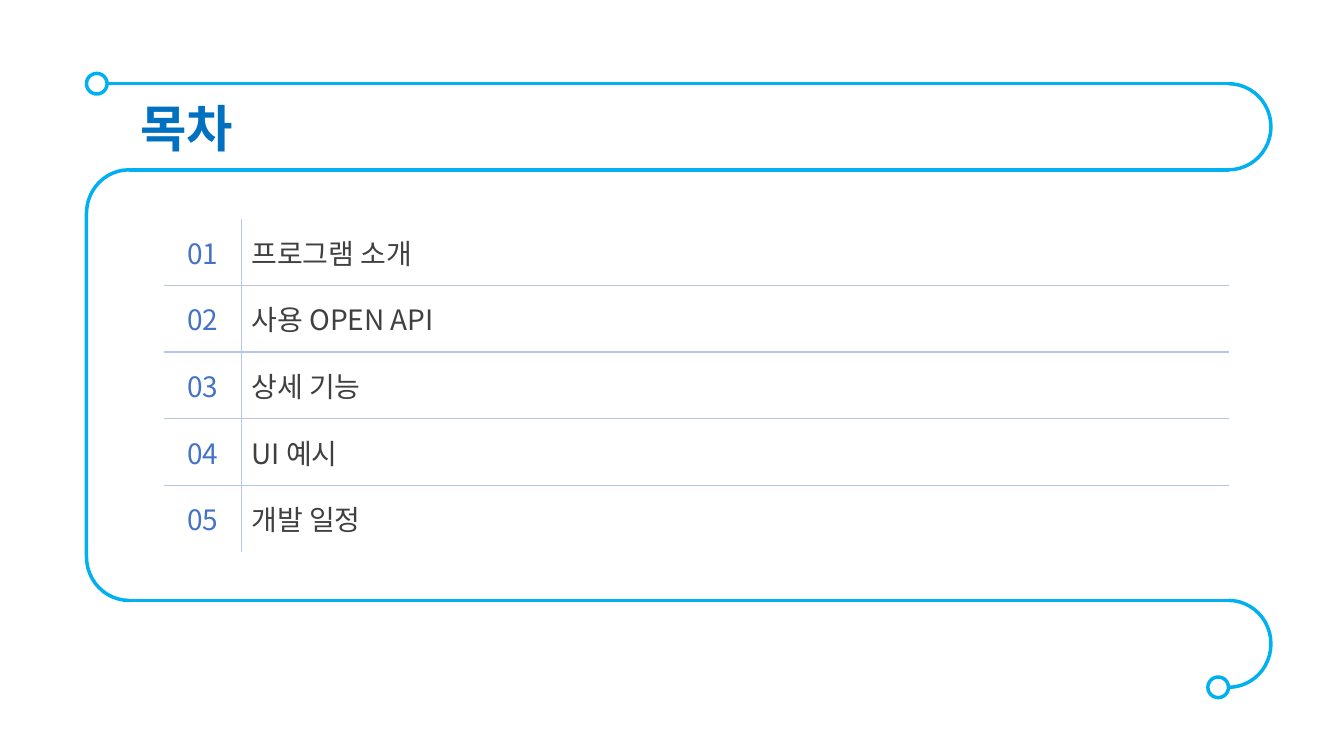
from dataclasses import dataclass

import lxml.etree
import pptx
import pptx.dml.color
import pptx.enum.shapes
import pptx.enum.text
import pptx.oxml.ns
import pptx.util

Cm = pptx.util.Cm
Pt = pptx.util.Pt
qn = pptx.oxml.ns.qn
Preset = pptx.enum.shapes.MSO_SHAPE
Align = pptx.enum.text.PP_ALIGN
Anchor = pptx.enum.text.MSO_ANCHOR

FONT = "Noto Sans CJK KR"
COLORS = {
    "title": "0070C0",
    "number": "4472C4",
    "topic": "404040",
    "grid": "B4C7E7",
    "ribbon": "00B0F0",
    "knob": "FFFFFF",
}
TITLE = "목차"
TOPICS = ["프로그램 소개", "사용 OPEN API", "상세 기능", "UI 예시", "개발 일정"]
COLUMN_WIDTHS = [1.94, 13.96, 10.93]
ROW_HEIGHT = 1.68

# The ribbon runs along three levels and turns in brackets (lengths in cm).
LEFT, STRAIGHT_LEFT, STRAIGHT_RIGHT = 2.18, 3.25, 30.96
TURN_WIDTH = STRAIGHT_LEFT - LEFT
TOP, MIDDLE, BOTTOM, END = 2.11, 4.28, 15.13, 17.32
KNOB_SIZE = 0.52
RIBBON_WIDTH = Pt(2.5)


@dataclass(frozen=True)
class Turn:
    preset: Preset
    left: float
    top: float
    bottom: float


@dataclass(frozen=True)
class Straight:
    left: float
    level: float


@dataclass(frozen=True)
class Knob:
    left: float
    level: float


TURNS = [
    Turn(Preset.RIGHT_BRACKET, STRAIGHT_RIGHT, TOP, MIDDLE),
    Turn(Preset.LEFT_BRACKET, LEFT, MIDDLE, BOTTOM),
    Turn(Preset.RIGHT_BRACKET, STRAIGHT_RIGHT, BOTTOM, END),
]
STRAIGHTS = [
    Straight(LEFT + KNOB_SIZE, TOP),
    Straight(STRAIGHT_LEFT, MIDDLE),
    Straight(STRAIGHT_LEFT, BOTTOM),
]
KNOBS = [Knob(LEFT, TOP), Knob(STRAIGHT_RIGHT - KNOB_SIZE, END)]


def color(name: str) -> pptx.dml.color.RGBColor:
    return pptx.dml.color.RGBColor.from_string(COLORS[name])


def write_text(frame, text: str, size: float, color_name: str, align: Align,
               bold: bool = False) -> None:
    """Fill the frame with one paragraph, using the font for Hangul as well."""
    para = frame.paragraphs[0]
    para.text = text
    para.alignment = align
    para.font.size = Pt(size)
    para.font.bold = bold
    para.font.color.rgb = color(color_name)
    para.font.name = FONT
    defaults = para._p.pPr.find(qn("a:defRPr"))
    lxml.etree.SubElement(defaults, qn("a:ea"), typeface=FONT)


def add_title(page) -> None:
    title = page.shapes.title
    title.left, title.top = Cm(3.28), Cm(2.31)
    title.width, title.height = Cm(21.08), Cm(1.8)
    title.text_frame.vertical_anchor = Anchor.MIDDLE
    write_text(title.text_frame, TITLE, 36, "title", Align.LEFT, bold=True)


def set_borders(cell, sides: list[str]) -> None:
    """Draw the given sides (of L, R, T, B) and hide the others."""
    properties = cell._tc.get_or_add_tcPr()
    for side in "LRTB":
        line = lxml.etree.SubElement(properties, qn(f"a:ln{side}"), w=str(Pt(1)))
        if side in sides:
            fill = lxml.etree.SubElement(line, qn("a:solidFill"))
            lxml.etree.SubElement(fill, qn("a:srgbClr"), val=COLORS["grid"])
        else:
            lxml.etree.SubElement(line, qn("a:noFill"))


def add_contents(page) -> None:
    rows, columns = len(TOPICS), len(COLUMN_WIDTHS)
    table = page.shapes.add_table(
        rows, columns, Cm(4.14), Cm(5.51),
        Cm(sum(COLUMN_WIDTHS)), Cm(ROW_HEIGHT * rows)).table
    table.first_row = table.horz_banding = False
    for column, width in zip(table.columns, COLUMN_WIDTHS):
        column.width = Cm(width)
    for row_index, topic in enumerate(TOPICS):
        table.rows[row_index].height = Cm(ROW_HEIGHT)
        for column_index in range(columns):
            cell = table.cell(row_index, column_index)
            shown = {"L": column_index == 1, "R": column_index == 0,
                     "T": row_index > 0, "B": row_index < rows - 1}
            set_borders(cell, [side for side, drawn in shown.items() if drawn])
            cell.fill.background()
            cell.vertical_anchor = Anchor.MIDDLE
        number_cell, topic_cell = table.cell(row_index, 0), table.cell(row_index, 1)
        write_text(number_cell.text_frame, f"{row_index + 1:02}", 20, "number", Align.CENTER)
        write_text(topic_cell.text_frame, topic, 20, "topic", Align.LEFT)


def style_ribbon(shape) -> None:
    shape.line.color.rgb = color("ribbon")
    shape.line.width = RIBBON_WIDTH


def add_turn(page, turn: Turn) -> None:
    height = turn.bottom - turn.top
    bracket = page.shapes.add_shape(
        turn.preset, Cm(turn.left), Cm(turn.top), Cm(TURN_WIDTH), Cm(height))
    bracket.adjustments[0] = 1.03
    bracket.shadow.inherit = False
    bracket.fill.background()
    style_ribbon(bracket)


def add_straight(page, straight: Straight) -> None:
    line = page.shapes.add_connector(
        pptx.enum.shapes.MSO_CONNECTOR.STRAIGHT, Cm(straight.left), Cm(straight.level),
        Cm(STRAIGHT_RIGHT), Cm(straight.level))
    style_ribbon(line)
    lxml.etree.SubElement(line._element.spPr, qn("a:effectLst"))


def add_knob(page, knob: Knob) -> None:
    circle = page.shapes.add_shape(
        Preset.ROUND_2_SAME_RECTANGLE, Cm(knob.left), Cm(knob.level - KNOB_SIZE / 2),
        Cm(KNOB_SIZE), Cm(KNOB_SIZE))
    circle.adjustments[0] = circle.adjustments[1] = 0.5
    circle.shadow.inherit = False
    circle.fill.solid()
    circle.fill.fore_color.rgb = color("knob")
    style_ribbon(circle)


def main() -> None:
    deck = pptx.Presentation()
    deck.slide_width, deck.slide_height = Cm(33.87), Cm(19.05)
    page = deck.slides.add_slide(deck.slide_layouts.get_by_name("Title Only"))
    add_title(page)
    add_contents(page)
    for turn in TURNS:
        add_turn(page, turn)
    for straight in STRAIGHTS:
        add_straight(page, straight)
    for knob in KNOBS:
        add_knob(page, knob)
    deck.save("out.pptx")


if __name__ == "__main__":
    main()
